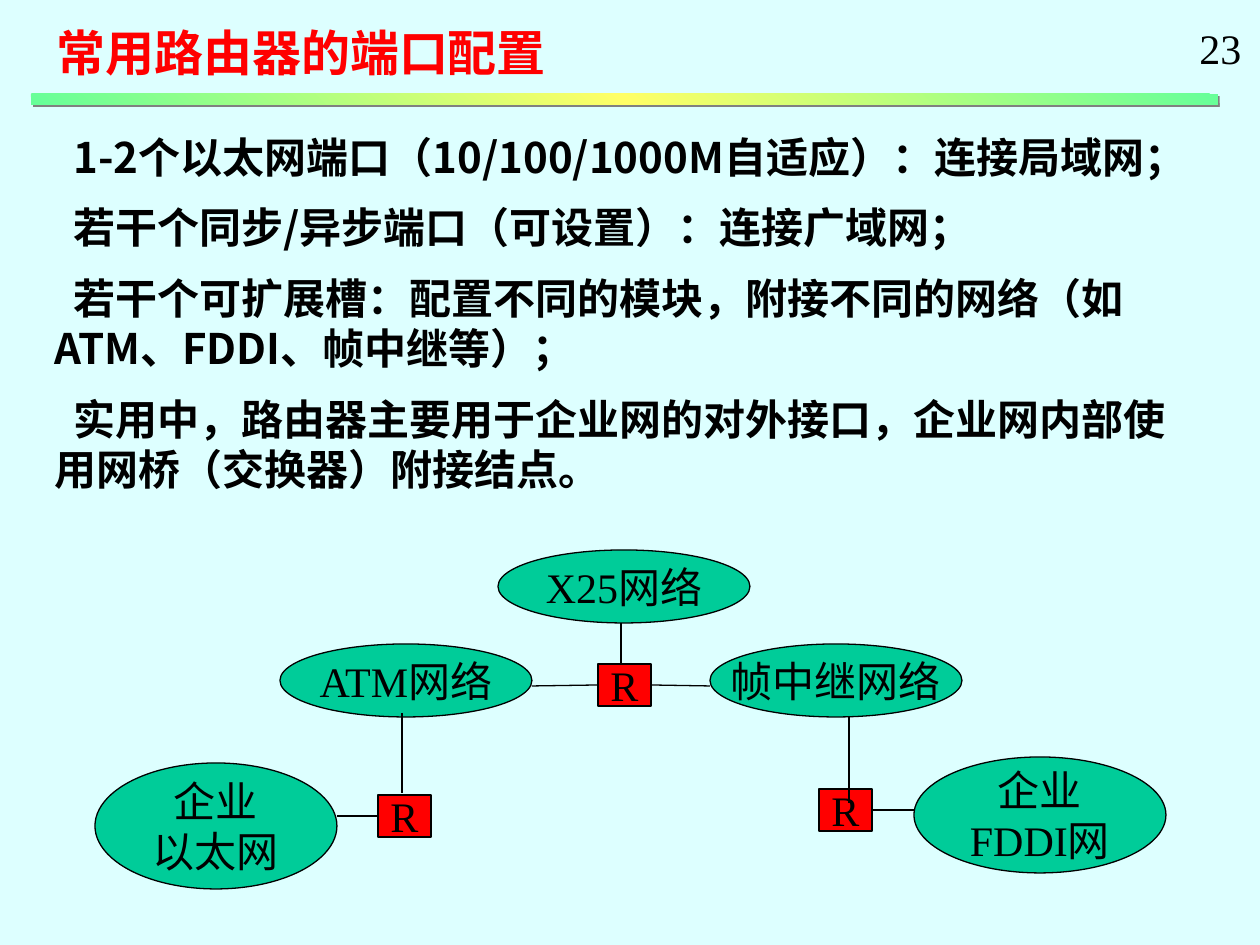
from copy import deepcopy

from lxml.etree import SubElement
from pptx import Presentation
from pptx.dml.color import RGBColor
from pptx.enum.shapes import MSO_CONNECTOR as Line, MSO_SHAPE as Shape
from pptx.enum.text import MSO_ANCHOR as Anchor, MSO_AUTO_SIZE as AutoSize, PP_ALIGN as Align
from pptx.oxml.ns import qn
from pptx.util import Emu, Pt

COLORS = {"background": "DDFFFF", "text": "000000", "title": "FF0000", "network": "00CC99",
          "router": "FF0000", "line": "000000", "shadow": "808080"}
SANS, SERIF = "Noto Sans CJK SC", "Times New Roman"

TITLE = "常用路由器的端口配置"
POINTS = [
    "1-2个以太网端口（10/100/1000M自适应）：连接局域网；",
    "若干个同步/异步端口（可设置）：连接广域网；",
    "若干个可扩展槽：配置不同的模块，附接不同的网络（如ATM、FDDI、帧中继等）；",
    "实用中，路由器主要用于企业网的对外接口，企业网内部使用网桥（交换器）附接结点。",
]
PAGE_NUMBER = "23"
BAR_STOPS = [(0, "66FF99"), (0.5, "FFFF66"), (1, "66FF99")]

# left, top, width, height in px
NETWORKS = [
    (["X25网络"], (498, 550, 252, 73)),
    (["ATM网络"], (280, 644, 252, 73)),
    (["帧中继网络"], (710, 644, 252, 73)),
    (["企业", "以太网"], (95, 763, 242, 126)),
    (["企业", "FDDI网"], (914, 757, 252, 116)),
]
ROUTER_SIZE = (53, 42)
ROUTERS = {"center": (598, 664), "right": (819, 789), "left": (378, 795)}
LEFT, RIGHT = 1, 3
# start, end, and the router side that the end joins
LINKS = [
    ((532, 686), (598, 685), ("center", LEFT)),
    ((621, 623), (621, 664), None),
    ((710, 686), (651, 685), ("center", RIGHT)),
    ((337, 816), (378, 816), ("left", LEFT)),
    ((402, 713), (402, 793), None),
    ((849, 717), (849, 803), None),
    ((914, 810), (872, 810), ("right", RIGHT)),
]


def px(length):
    return Emu(round(length * 914400 / 126))


def rgb(name):
    return RGBColor.from_string(COLORS[name])


def place(shape, left, top, width, height):
    shape.left, shape.top, shape.width, shape.height = map(px, (left, top, width, height))


def write(shape, lines, size, font, color="text", bold=False, align=Align.LEFT,
          anchor=Anchor.TOP, wrap=True, gap=0, indent=0):
    frame = shape.text_frame
    frame.auto_size = AutoSize.NONE
    frame.word_wrap = wrap
    frame.vertical_anchor = anchor
    frame.text = "\n".join(lines)
    for index, para in enumerate(frame.paragraphs):
        para.alignment = align
        para.space_before = Pt(gap if index else 0)
        props = para._p.get_or_add_pPr()
        props.set("marL", "0")
        props.set("indent", str(px(indent)))
        props.set("hangingPunct", "0")
        SubElement(props, qn("a:buNone"))
        para.font.size = Pt(size)
        para.font.bold = bold
        para.font.color.rgb = rgb(color)
        para.font.name = font
        SubElement(props.find(qn("a:defRPr")), qn("a:ea"), typeface=SANS)


def add_node(page, kind, lines, bounds, color):
    node = page.shapes.add_shape(kind, *map(px, bounds))
    node.shadow.inherit = False
    node.fill.solid()
    node.fill.fore_color.rgb = rgb(color)
    node.line.color.rgb = rgb("line")
    node.line.width = Pt(0.75)
    write(node, lines, 24, SERIF, align=Align.CENTER, anchor=Anchor.MIDDLE, wrap=False)
    return node


def add_link(page, start, end, joint, routers):
    link = page.shapes.add_connector(Line.STRAIGHT, *map(px, start + end))
    if joint:
        name, side = joint
        link.end_connect(routers[name], side)
    link.line.color.rgb = rgb("line")
    link.line.width = Pt(0.75)
    SubElement(link._element.spPr, qn("a:effectLst"))


def add_title_bar(page):
    bar = page.shapes.add_shape(Shape.RECTANGLE, *map(px, (31, 94, 1187, 11)))
    bar.line.fill.background()
    bar.fill.gradient()
    bar.fill.gradient_angle = 225
    props = bar._element.spPr
    stops = props.find(".//" + qn("a:gsLst"))
    stops.append(deepcopy(stops[0]))
    for stop, (position, color) in zip(bar.fill.gradient_stops, BAR_STOPS):
        stop.position = position
        stop.color.rgb = RGBColor.from_string(color)
    effects = SubElement(props, qn("a:effectLst"))
    shadow = SubElement(effects, qn("a:outerShdw"), dist=str(Pt(1.4)), dir=str(45 * 60000),
                        algn="ctr", rotWithShape="0")
    SubElement(shadow, qn("a:srgbClr"), val=COLORS["shadow"])


def main():
    deck = Presentation()
    deck.slide_width, deck.slide_height = px(1260), px(945)
    page = deck.slides.add_slide(deck.slide_layouts[1])
    page.background.fill.solid()
    page.background.fill.fore_color.rgb = rgb("background")

    title, body = page.placeholders
    place(title, 44, 16, 546, 72)
    write(title, [TITLE], 28, SANS, color="title", bold=True)
    place(body, 42, 125, 1176, 424)
    write(body, POINTS, 24, SANS, bold=True, gap=11.5, indent=19)

    for lines, bounds in NETWORKS:
        add_node(page, Shape.OVAL, lines, bounds, "network")
    routers = {name: add_node(page, Shape.RECTANGLE, ["R"], corner + ROUTER_SIZE, "router")
               for name, corner in ROUTERS.items()}
    for start, end, joint in LINKS:
        add_link(page, start, end, joint, routers)

    number = page.shapes.add_textbox(*map(px, (1187, 16, 67, 63)))
    write(number, [PAGE_NUMBER], 24, SERIF, wrap=False)
    add_title_bar(page)
    deck.save("out.pptx")


if __name__ == "__main__":
    main()
